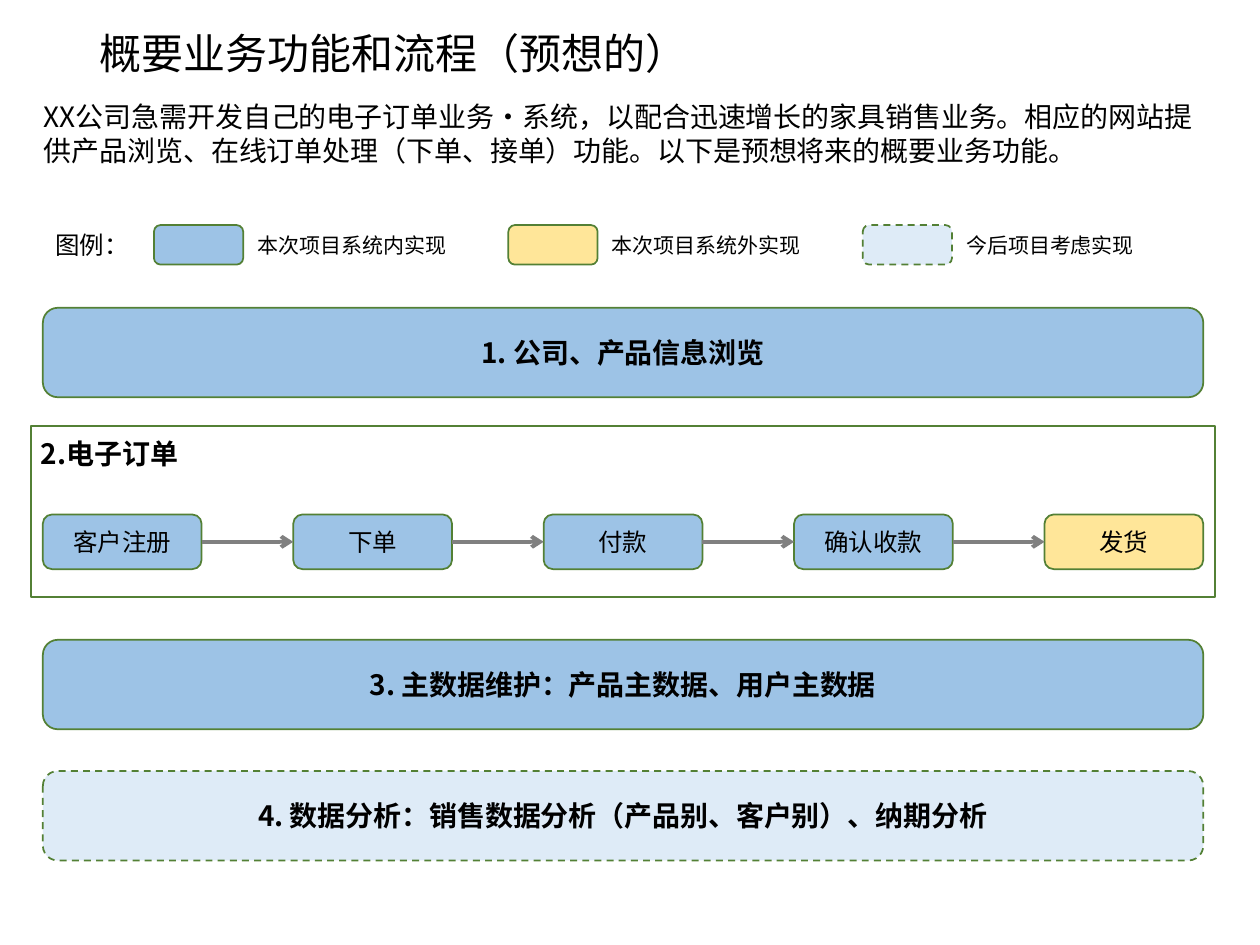
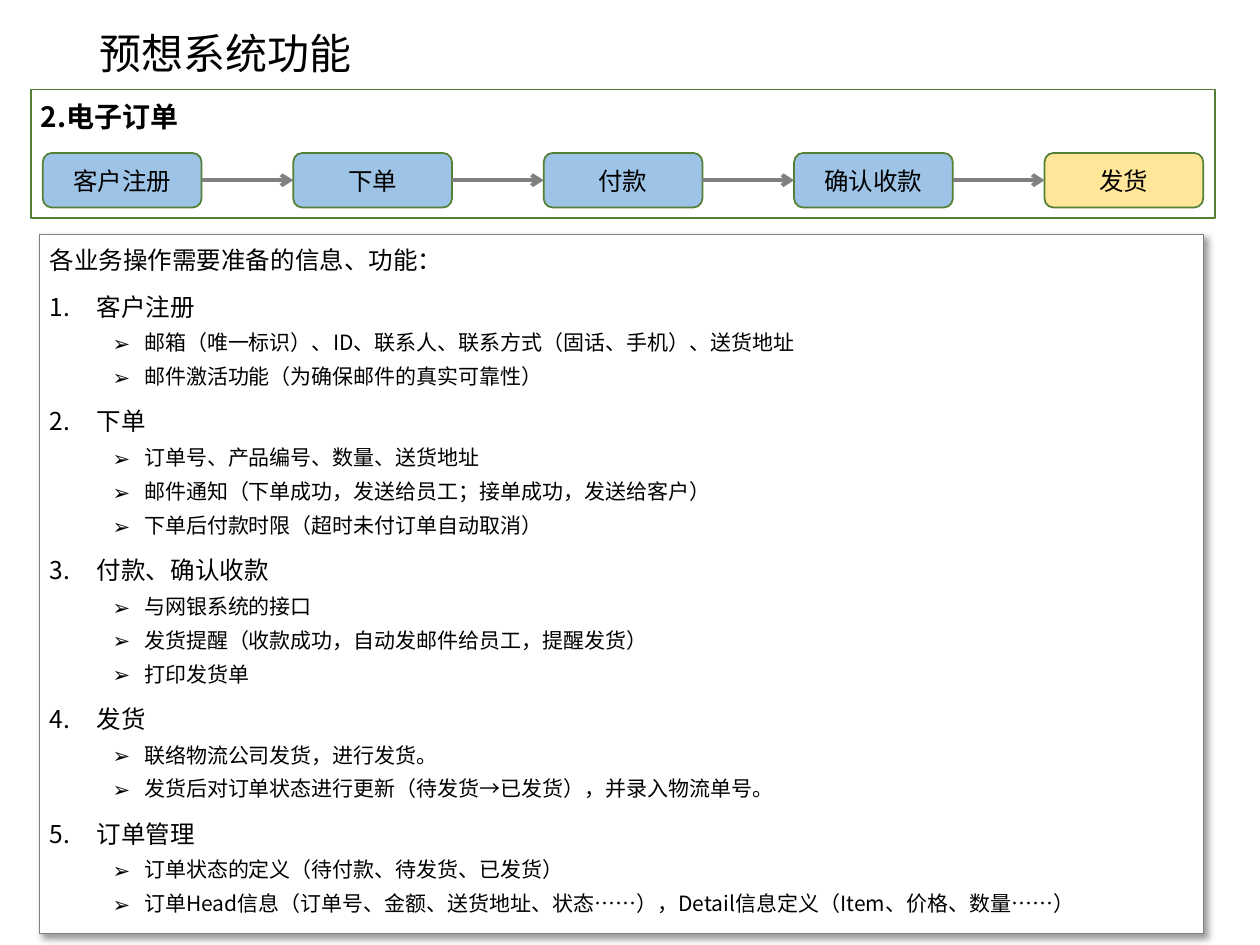
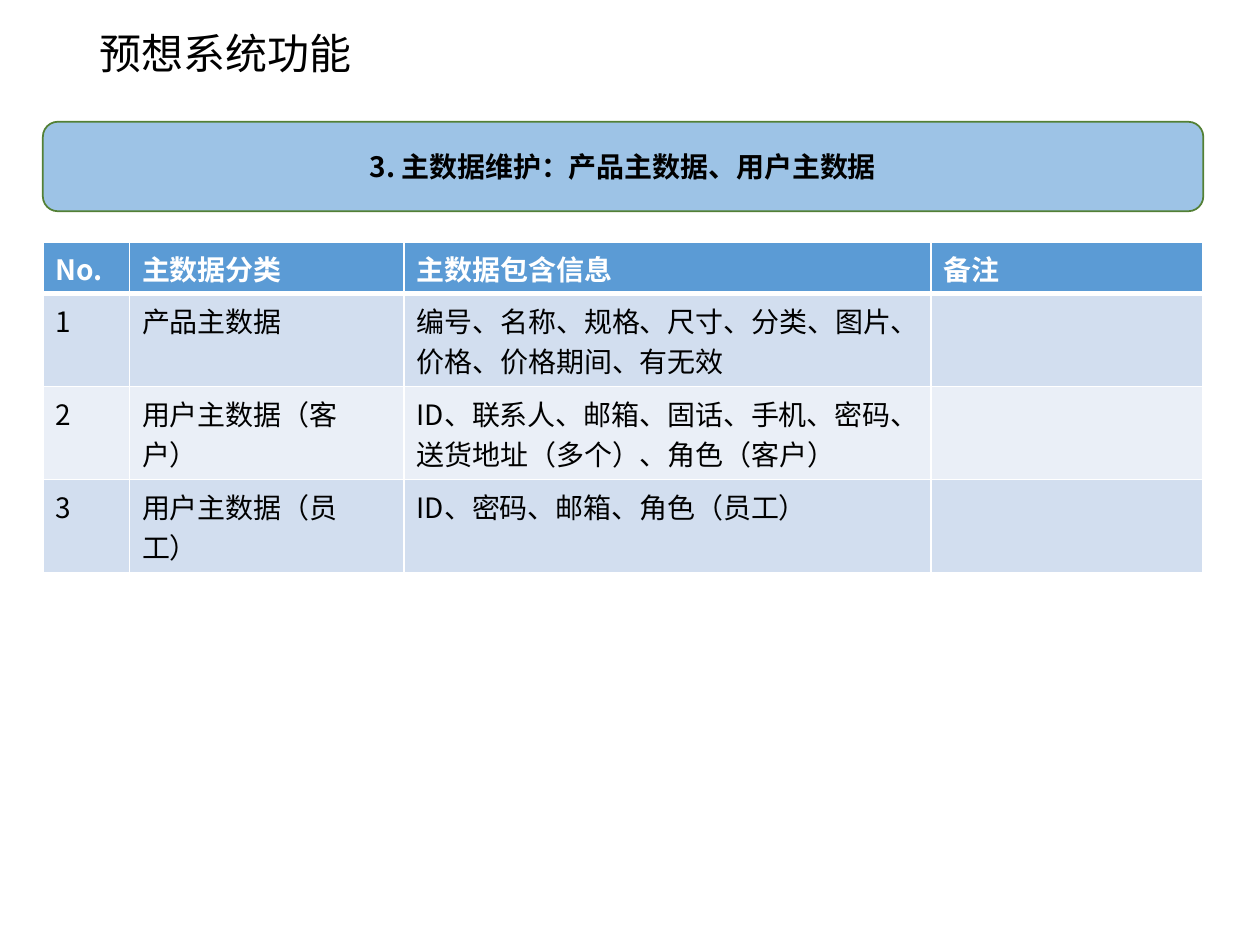
from lxml import etree
from pptx import Presentation
from pptx.dml.color import RGBColor
from pptx.enum.dml import MSO_LINE
from pptx.enum.shapes import MSO_CONNECTOR, MSO_SHAPE
from pptx.enum.text import MSO_ANCHOR, PP_ALIGN
from pptx.oxml.ns import qn
from pptx.util import Pt

RECT, ROUND = MSO_SHAPE.RECTANGLE, MSO_SHAPE.ROUNDED_RECTANGLE
STRAIGHT, DASH = MSO_CONNECTOR.STRAIGHT, MSO_LINE.DASH
TOP, MIDDLE = MSO_ANCHOR.TOP, MSO_ANCHOR.MIDDLE
LEFT, CENTER = PP_ALIGN.LEFT, PP_ALIGN.CENTER

FONT = "Noto Sans CJK SC"
COLORS = {
    "black": "000000", "white": "FFFFFF", "green": "538035", "gray": "808080",
    "inside": "9DC3E6", "outside": "FFE699", "future": "DEEBF7",
    "head": "5B9BD5", "odd": "D2DEEF", "even": "EAEFF7",
}

PLAN = "概要业务功能和流程（预想的）"
SYSTEM = "预想系统功能"
INTRO = ("XX公司急需开发自己的电子订单业务·系统，以配合迅速增长的家具销售业务。"
         "相应的网站提供产品浏览、在线订单处理（下单、接单）功能。"
         "以下是预想将来的概要业务功能。")
KEY = "图例："
KEYS = [("本次项目系统内实现", "inside"), ("本次项目系统外实现", "outside"),
        ("今后项目考虑实现", "future")]
BROWSE = "1. 公司、产品信息浏览"
ORDER = "2.电子订单"
MASTER = "3. 主数据维护：产品主数据、用户主数据"
ANALYSIS = "4. 数据分析：销售数据分析（产品别、客户别）、纳期分析"
STEPS = [("客户注册", "inside"), ("下单", "inside"), ("付款", "inside"),
         ("确认收款", "inside"), ("发货", "outside")]
NEEDS = "各业务操作需要准备的信息、功能："
TOPICS = [
    ("客户注册", ["邮箱（唯一标识）、ID、联系人、联系方式（固话、手机）、送货地址",
              "邮件激活功能（为确保邮件的真实可靠性）"]),
    ("下单", ["订单号、产品编号、数量、送货地址",
            "邮件通知（下单成功，发送给员工；接单成功，发送给客户）",
            "下单后付款时限（超时未付订单自动取消）"]),
    ("付款、确认收款", ["与网银系统的接口",
                 "发货提醒（收款成功，自动发邮件给员工，提醒发货）",
                 "打印发货单"]),
    ("发货", ["联络物流公司发货，进行发货。",
            "发货后对订单状态进行更新（待发货→已发货），并录入物流单号。"]),
    ("订单管理", ["订单状态的定义（待付款、待发货、已发货）",
              "订单Head信息（订单号、金额、送货地址、状态……），"
              "Detail信息定义（Item、价格、数量……）"]),
]
TABLE = [
    ("No.", "主数据分类", "主数据包含信息", "备注"),
    ("1", "产品主数据", "编号、名称、规格、尺寸、分类、图片、价格、价格期间、有无效", ""),
    ("2", "用户主数据（客户）",
     "ID、联系人、邮箱、固话、手机、密码、送货地址（多个）、角色（客户）", ""),
    ("3", "用户主数据（员工）", "ID、密码、邮箱、角色（员工）", ""),
]
COLS = [49.5, 157, 301, 155.6]
ROWS = [29.6] + [53.2] * (len(TABLE) - 1)

EDGE, WIDE = 24.5, 663.1
BAR = 51.1
STEP_W, STEP_H = 90.7, 31.2
STRIDE = (WIDE - STEP_W) / (len(STEPS) - 1)


def color(name):
    return RGBColor.from_string(COLORS[name])


def child(node, tag, **attrs):
    return etree.SubElement(node, qn("a:" + tag), attrs)


def style(para, size, bold=False, ink="black"):
    for run in para.runs:
        font = run.font
        font.size, font.bold, font.name = Pt(size), bold, FONT
        font.color.rgb = color(ink)
        child(font._element, "ea", typeface=FONT)


def write(shape, text, size, bold=False, align=LEFT, anchor=TOP, inset=None):
    frame = shape.text_frame
    frame.word_wrap = True
    frame.vertical_anchor = anchor
    if inset:
        frame.margin_left = frame.margin_right = Pt(inset)
        frame.margin_top = frame.margin_bottom = Pt(inset)
    frame.text = text
    for para in frame.paragraphs:
        para.alignment = align
        style(para, size, bold)
    return frame


def label(shapes, text, x, y, w, h, size, anchor=TOP):
    box = shapes.add_textbox(Pt(x), Pt(y), Pt(w), Pt(h))
    return write(box, text, size, anchor=anchor)


def block(shapes, kind, x, y, w, h, fill, edge="green", weight=1):
    shape = shapes.add_shape(kind, Pt(x), Pt(y), Pt(w), Pt(h))
    shape.shadow.inherit = False
    shape.fill.solid()
    shape.fill.fore_color.rgb = color(fill)
    shape.line.color.rgb = color(edge)
    shape.line.width = Pt(weight)
    if fill == "future":
        shape.line.dash_style = DASH
    return shape


def start(title):
    shapes = deck.slides.add_slide(deck.slide_layouts[6]).shapes
    frame = label(shapes, title, 49.7, 12.2, 620.6, 39.6, 24, MIDDLE)
    frame.paragraphs[0].line_spacing = 0.9
    return shapes


def bar(shapes, text, y, fill="inside"):
    shape = block(shapes, ROUND, EDGE, y, WIDE, BAR, fill)
    write(shape, text, 16, True, CENTER, MIDDLE)


def arrow(shapes, x, y, end):
    line = shapes.add_connector(STRAIGHT, Pt(x), Pt(y), Pt(end), Pt(y))
    line.line.color.rgb = color("gray")
    line.line.width = Pt(2.25)
    child(line.line._get_or_add_ln(), "tailEnd", type="arrow")
    child(line._element.spPr, "effectLst")


def flow(shapes, y, h, top):
    frame = block(shapes, RECT, 17.7, y, 676.8, h, "white")
    write(frame, ORDER, 16, True, inset=5.76)
    for i, (text, fill) in enumerate(STEPS):
        x = EDGE + i * STRIDE
        step = block(shapes, ROUND, x, top, STEP_W, STEP_H, fill)
        write(step, text, 14, False, CENTER, MIDDLE)
        if i:
            arrow(shapes, x - STRIDE + STEP_W, top + STEP_H / 2, x)


def legend(shapes, y):
    label(shapes, KEY, EDGE, y - 0.5, 55.4, 24.5, 14)
    for i, (text, fill) in enumerate(KEYS):
        x = 88 + i * 202.5
        group = shapes.add_group_shape().shapes
        block(group, ROUND, x, y, 51, 22.6, fill)
        label(group, text, x + 52, y + 1, 128.9, 21.6, 12)


def bullet(para, deep):
    props = para._p.get_or_add_pPr()
    left, hang = (54, 18) if deep else (27, 27)
    props.set("marL", str(Pt(left)))
    props.set("indent", str(-Pt(hang)))
    child(props, "buFont", typeface=FONT)
    if deep:
        child(props, "buChar", char="➢")
    else:
        child(props, "buAutoNum", type="arabicPeriod")


def needs(shapes):
    panel = block(shapes, RECT, 22.6, 134.1, 665.1, 399.5, "white", "gray", 0.75)
    effects = panel._element.spPr.find(qn("a:effectLst"))
    shade = child(effects, "outerShdw", blurRad=str(Pt(4)), dist=str(Pt(3)),
                  dir="2700000", algn="tl", rotWithShape="0")
    child(child(shade, "srgbClr", val=COLORS["black"]), "alpha", val="40000")
    frame = write(panel, NEEDS, 14, inset=5.76)
    frame.paragraphs[0].space_before = Pt(10)
    for topic, points in TOPICS:
        for i, text in enumerate([topic] + points):
            deep = i > 0
            para = frame.add_paragraph()
            para.text = text
            para.level = int(deep)
            para.alignment = LEFT
            para.space_before = Pt(5 if deep else 10)
            bullet(para, deep)
            style(para, 12 if deep else 14)


def borders(cell, head):
    props = cell._tc.get_or_add_tcPr()
    for side in "LRTB":
        width = 3 if head and side == "B" else 1
        line = child(props, "ln" + side, w=str(Pt(width)))
        child(child(line, "solidFill"), "srgbClr", val=COLORS["white"])


def grid(shapes, y):
    table = shapes.add_table(len(ROWS), len(COLS), Pt(EDGE), Pt(y),
                             Pt(WIDE), Pt(sum(ROWS))).table
    for col, width in zip(table.columns, COLS):
        col.width = Pt(width)
    for r, row in enumerate(TABLE):
        table.rows[r].height = Pt(ROWS[r])
        head = r == 0
        fill = "head" if head else "odd" if r % 2 else "even"
        for c, text in enumerate(row):
            cell = table.cell(r, c)
            borders(cell, head)
            cell.fill.solid()
            cell.fill.fore_color.rgb = color(fill)
            if text:
                cell.text_frame.text = text
                style(cell.text_frame.paragraphs[0], 16, head,
                      "white" if head else "black")


deck = Presentation()
deck.slide_width, deck.slide_height = Pt(720), Pt(540)

shapes = start(PLAN)
label(shapes, INTRO, 18, 53.5, 681.1, 46.1, 16)
legend(shapes, 128.6)
bar(shapes, BROWSE, 175.9)
flow(shapes, 243.5, 97.5, 294)
bar(shapes, MASTER, 365.6)
bar(shapes, ANALYSIS, 440.6, "future")

shapes = start(SYSTEM)
needs(shapes)
flow(shapes, 51.2, 73.4, 87.4)

shapes = start(SYSTEM)
bar(shapes, MASTER, 69.6)
grid(shapes, 138.2)

deck.save("out.pptx")
